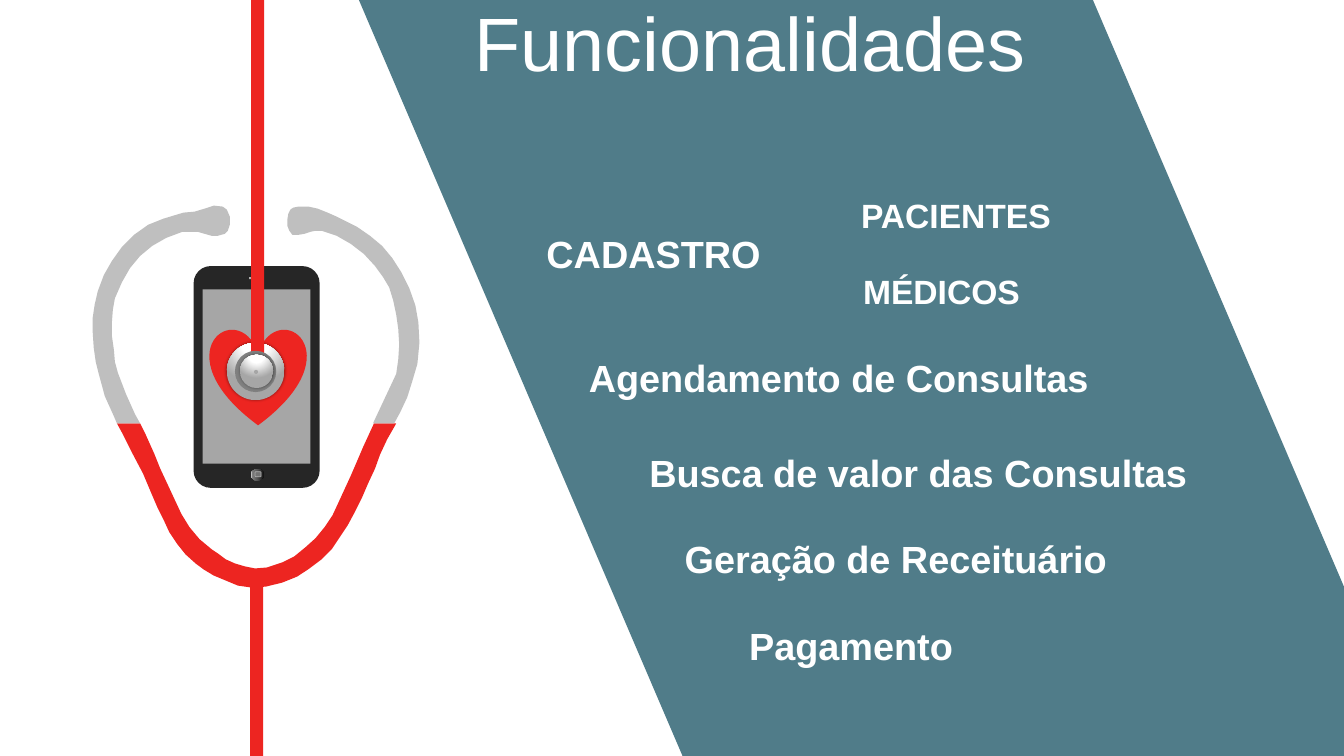
from dataclasses import dataclass

from pptx import Presentation
from pptx import util as u
from pptx.dml import color
from pptx.enum import shapes, text
from pptx.oxml import ns, parse_xml

A = ns.nsdecls("a")
KIND = shapes.MSO_SHAPE


@dataclass(frozen=True)
class Theme:
    panel: str = "507C89"
    red: str = "ED2521"
    tube: str = "BFBFBF"
    body: str = "262626"
    screen: str = "A6A6A6"
    speaker: str = "B0B0B0"
    icon: str = "737373"
    ring: str = "808080"
    white: str = "FFFFFF"
    font: str = "Arial"
    title: int = 54
    item: int = 27
    subitem: int = 24
    metal: tuple = ((0, "FFFFFF"), (35, "FFFFFF"), (100, "A6A6A6"))
    button: tuple = ((0, "0F0F0F"), (56, "595959"), (91, "808080"), (100, "BFBFBF"))


T = Theme()
METAL_SHADE = ('<a:path path="circle"><a:fillToRect l="50000" t="-80000" '
               'r="50000" b="180000"/></a:path>')
BUTTON_SHADE = '<a:lin ang="10800000" scaled="0"/>'

PANEL = [(356, 0), (1084, 0), (1333, 582), (1333, 750), (677, 750)]
RED_TUBE = [
    (116, 420), (139, 420), (144, 430), (153, 450), (159, 465), (166, 480),
    (173, 495), (180, 510), (188, 523), (198, 535), (210, 545), (216, 549),
    (224, 555), (233, 559), (243, 562), (253, 564), (265, 563), (280, 558),
    (292, 552), (303, 543), (313, 534), (322, 523), (330, 511), (336, 498),
    (342, 485), (348, 472), (354, 458), (360, 444), (371, 420), (393, 420),
    (392, 422), (384, 436), (377, 451), (372, 465), (365, 480), (359, 494),
    (352, 508), (345, 521), (337, 533), (329, 545), (319, 555), (307, 564),
    (295, 572), (280, 578), (264, 582), (250, 583), (236, 581), (224, 576),
    (212, 571), (202, 565), (194, 559), (184, 550), (176, 540), (168, 528),
    (162, 515), (156, 503), (150, 489), (142, 470), (132, 451), (122, 431)]
RIGHT_ARM = [
    (296, 205), (306, 205), (315, 207), (325, 211), (334, 215), (342, 219),
    (354, 225), (367, 234), (379, 244), (389, 256), (398, 270), (406, 286),
    (412, 303), (415, 320), (416, 340), (414, 361), (409, 378), (404, 394),
    (397, 409), (391, 420), (370, 420), (393, 371), (395, 357), (396, 342),
    (395, 326), (393, 312), (390, 298), (386, 285), (380, 275), (372, 264),
    (361, 252), (348, 242), (334, 234), (319, 229), (313, 229), (308, 230),
    (302, 232), (296, 233), (290, 233), (287, 229), (285, 224), (285, 218),
    (286, 212), (288, 208), (291, 206)]
LEFT_ARM = [
    (212, 204), (221, 205), (225, 208), (228, 215), (228, 223), (226, 229),
    (223, 232), (216, 234), (210, 234), (203, 232), (196, 230), (181, 230),
    (165, 236), (151, 244), (139, 254), (129, 266), (121, 280), (114, 296),
    (112, 307), (111, 320), (111, 333), (113, 347), (114, 359), (117, 370),
    (125, 391), (134, 411), (139, 420), (116, 420), (113, 413), (104, 393),
    (98, 371), (95, 359), (93, 345), (92, 330), (92, 315), (94, 302),
    (97, 289), (103, 273), (111, 259), (121, 245), (133, 233), (147, 223),
    (162, 217), (172, 214), (182, 211), (193, 210), (203, 207)]

ITEMS = [
    ("Agendamento de Consultas", 5.72, 3.47, 5.99),
    ("Busca de valor das Consultas", 6.32, 4.41, 6.22),
    ("Geração de Receituário", 6.67, 5.27, 6.22),
    ("Pagamento", 7.31, 6.13, 4.93)]


def rgb(value):
    return color.RGBColor.from_string(value)


def assign(target, values):
    for name, value in values.items():
        setattr(target, name, value)


def paint(s, fill):
    s.shadow.inherit = False
    s.fill.solid()
    s.fill.fore_color.rgb = rgb(fill)
    s.line.fill.background()
    return s


def shape(sp, kind, left, top, width, height, fill):
    box = [u.Inches(v) for v in (left, top, width, height)]
    return paint(sp.add_shape(kind, *box), fill)


def outline(sp, fill, *contours):
    first, *others = contours
    builder = sp.build_freeform(*first[0], scale=u.Inches(0.01))
    builder.add_line_segments(first[1:], close=True)
    for contour in others:
        builder.move_to(*contour[0])
        builder.add_line_segments(contour[1:], close=True)
    return paint(builder.convert_to_shape(), fill)


def shade(s, stops, direction):
    marks = "".join(f'<a:gs pos="{pos * 1000}"><a:srgbClr val="{c}"/></a:gs>'
                    for pos, c in stops)
    props = s._element.spPr
    props.replace(props.find(ns.qn("a:solidFill")), parse_xml(
        f'<a:gradFill {A} rotWithShape="0"><a:gsLst>{marks}</a:gsLst>'
        f'{direction}</a:gradFill>'))


def metal_disc(sp, left, top, size):
    s = shape(sp, KIND.OVAL, left, top, size, size, T.white)
    shade(s, T.metal, METAL_SHADE)
    s._element.spPr.find(ns.qn("a:effectLst")).append(parse_xml(
        f'<a:outerShdw {A} blurRad="25400" dist="0" dir="0"><a:srgbClr val="000000">'
        '<a:alpha val="40000"/></a:srgbClr></a:outerShdw>'))


def label(sp, words, left, top, width, height, size, bold=True, inset=0.12,
          anchor=text.MSO_ANCHOR.TOP):
    tf = sp.add_textbox(*[u.Inches(v) for v in (left, top, width, height)]).text_frame
    assign(tf, {"word_wrap": True, "auto_size": text.MSO_AUTO_SIZE.SHAPE_TO_FIT_TEXT,
                "vertical_anchor": anchor, "margin_left": u.Inches(inset),
                "margin_right": u.Inches(inset)})
    r = tf.paragraphs[0].add_run()
    r.text = words
    assign(r.font, {"name": T.font, "size": u.Pt(size), "bold": bold})
    r.font.color.rgb = rgb(T.white)


def phone(sp):
    group = sp.add_group_shape().shapes
    body = shape(group, KIND.ROUNDED_RECTANGLE, 1.92, 2.64, 1.25, 2.2, T.body)
    body.adjustments[0] = 0.136
    shape(group, KIND.RECTANGLE, 2.47, 2.75, 0.13, 0.02, T.speaker)
    button = shape(group, KIND.OVAL, 2.49, 4.65, 0.13, 0.12, T.body)
    shade(button, T.button, BUTTON_SHADE)
    icon = shape(group, KIND.ROUNDED_RECTANGLE, 2.53, 4.68, 0.06, 0.05, T.icon)
    icon.line.color.rgb = rgb(T.speaker)
    icon.line.width = u.Pt(0.5)
    shape(group, KIND.RECTANGLE, 2.01, 2.87, 1.07, 1.73, T.screen)


def chest_piece(sp):
    group = sp.add_group_shape().shapes
    shape(group, KIND.OVAL, 2.33, 3.48, 0.41, 0.41, T.ring)
    metal_disc(group, 2.38, 3.52, 0.33)
    shape(group, KIND.OVAL, 2.52, 3.67, 0.04, 0.04, T.screen)


def registration(sp):
    group = sp.add_group_shape().shapes
    label(group, "CADASTRO", 5.3, 2.24, 4.93, 0.56, T.item)
    label(group, "PACIENTES", 8.42, 1.88, 4.93, 0.5, T.subitem)
    label(group, "MÉDICOS", 8.44, 2.64, 4.93, 0.5, T.subitem)


def main():
    prs = Presentation()
    assign(prs, {"slide_width": u.Inches(13.33), "slide_height": u.Inches(7.5)})
    sp = prs.slides.add_slide(prs.slide_layouts[6]).shapes
    outline(sp, T.panel, PANEL)
    phone(sp)
    shape(sp, KIND.HEART, 2.08, 3.26, 0.96, 0.96, T.red)
    shape(sp, KIND.RECTANGLE, 2.48, 5.7, 0.13, 1.8, T.red)
    metal_disc(sp, 2.25, 3.4, 0.57)
    outline(sp, T.red, RED_TUBE)
    outline(sp, T.tube, RIGHT_ARM, LEFT_ARM)
    shape(sp, KIND.RECTANGLE, 2.49, 0, 0.13, 3.58, T.red)
    chest_piece(sp)
    label(sp, "Funcionalidades", 4.61, -0.1, 6.59, 1.01, T.title, bold=False,
          inset=0.1, anchor=text.MSO_ANCHOR.MIDDLE)
    registration(sp)
    for words, left, top, width in ITEMS:
        label(sp, words, left, top, width, 0.56, T.item)
    prs.save("out.pptx")


if __name__ == "__main__":
    main()
